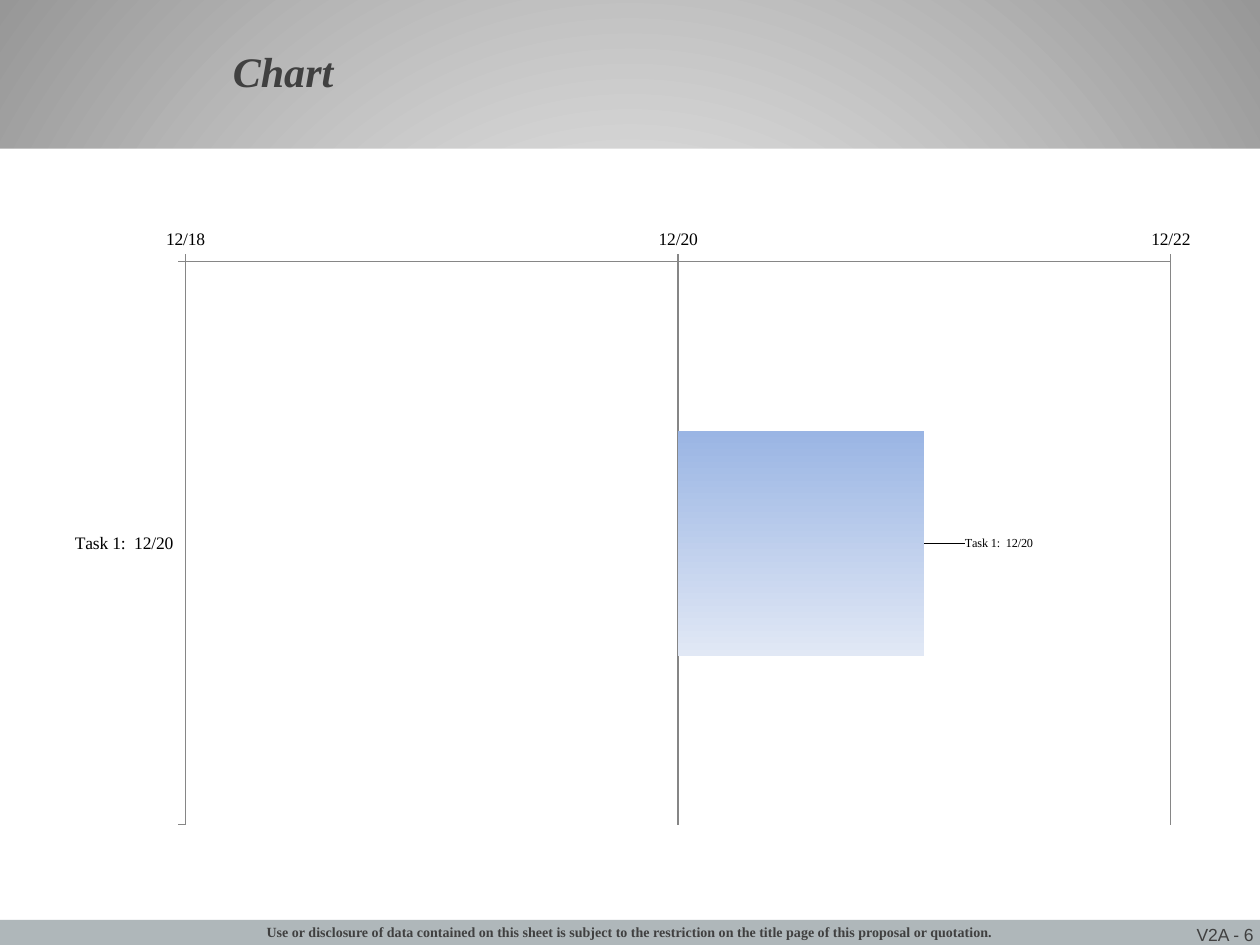
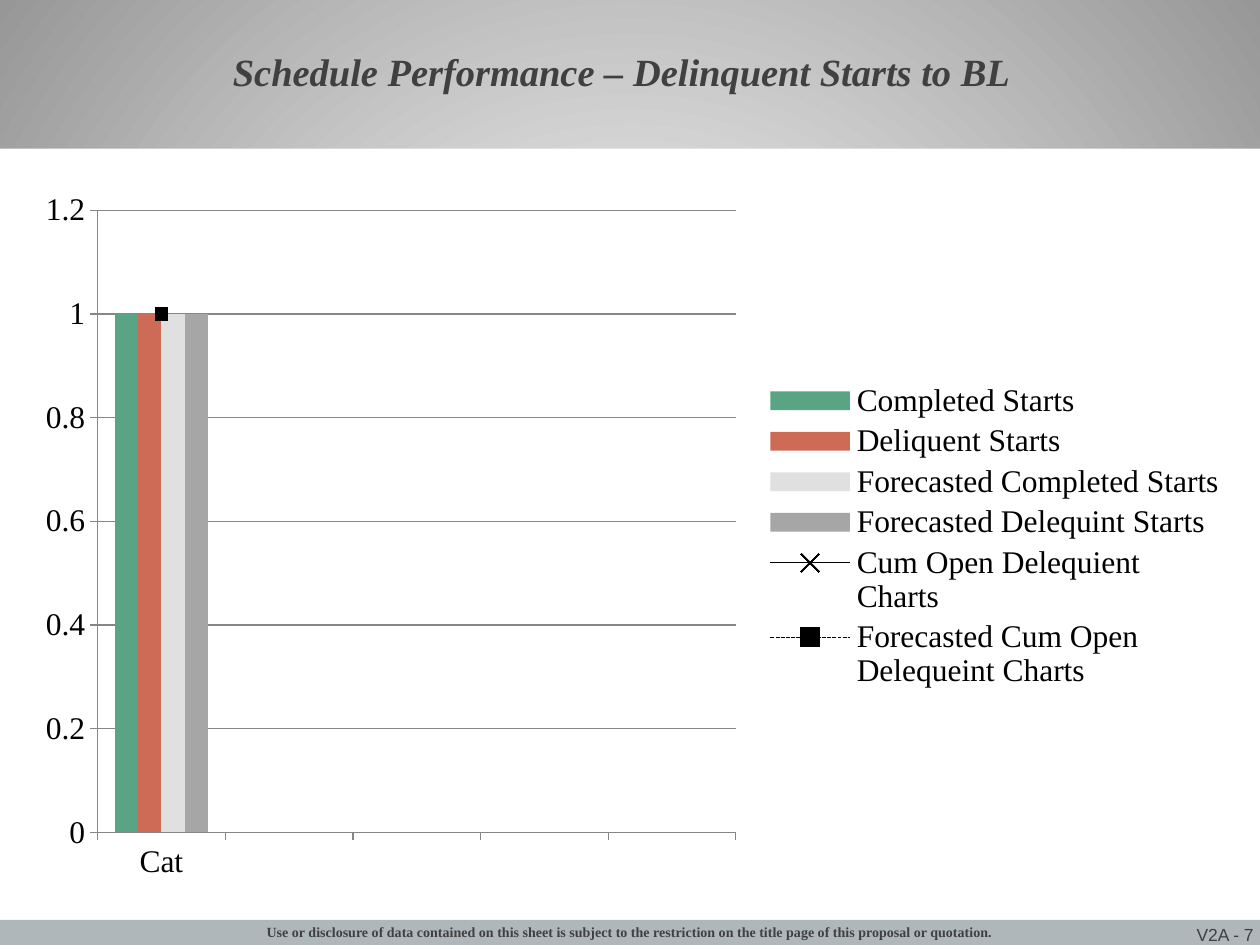
"""Build two schedule slides: a task timeline and a delinquent starts chart."""
from lxml import etree
from pptx import Presentation
from pptx import util as u
from pptx.chart.data import CategoryChartData
from pptx.dml.color import RGBColor
from pptx.enum import chart as ch
from pptx.enum import dml, shapes, text
from pptx.oxml import ns

INK = {
    "text": "404040", "black": "000000", "white": "FFFFFF", "edge": "979797",
    "band": "AFB7BA", "axis": "868686", "top": "9AB5E4", "base": "E1E8F5",
    "done": "59A583", "late": "CD6B57", "plan": "E0E0E0", "slip": "A6A6A6",
}
SERIF, SANS = "Times New Roman", "Arial"
NOTE = ("Use or disclosure of data contained on this sheet is subject to the "
        "restriction on the title page of this proposal or quotation.")
TASK, START, DAYS = "Task 1:  12/20", 41993, 1
BARS = [("Completed Starts", "done"), ("Deliquent Starts", "late"),
        ("Forecasted Completed Starts", "plan"),
        ("Forecasted Delequint Starts", "slip")]
LINES = [("Cum Open Delequient Charts", ch.XL_MARKER_STYLE.X, None),
         ("Forecasted Cum Open Delequeint Charts", ch.XL_MARKER_STYLE.SQUARE,
          dml.MSO_LINE.SQUARE_DOT)]


def tint(name):
    return RGBColor.from_string(INK[name])


def paint(fill, name):
    fill.solid()
    fill.fore_color.rgb = tint(name)


def blend(fill, first, last):
    fill.gradient()
    for stop, name in zip(fill.gradient_stops, (first, last)):
        stop.color.rgb = tint(name)


def node(root, tag, **attrs):
    return etree.SubElement(root, ns.qn(tag), attrs)


def place(root, spot, **parts):
    """Put a manual chart layout at an index of an XML element."""
    for old in root.findall(ns.qn("c:layout")):
        root.remove(old)
    lay = node(root, "c:layout")
    man = node(lay, "c:manualLayout")
    for tag, val in parts.items():
        node(man, "c:" + tag, val=str(val))
    root.insert(spot, lay)


def glow(master):
    """Give the master a round gradient background."""
    blend(master.background.fill, "white", "edge")
    grad = master.element.find(".//" + ns.qn("a:gradFill"))
    for line in grad.findall(ns.qn("a:lin")):
        grad.remove(line)
    ring = node(grad, "a:path", path="circle")
    node(ring, "a:fillToRect", **dict.fromkeys("ltrb", "50000"))


def band(slide, top, high, name):
    box = slide.shapes.add_shape(
        shapes.MSO_SHAPE.RECTANGLE, 0, u.Inches(top), u.Inches(10), u.Inches(high))
    box.shadow.inherit = False
    paint(box.fill, name)
    box.line.fill.background()


def write(slide, words, area, size, face=SERIF, align=text.PP_ALIGN.LEFT,
          anchor=text.MSO_ANCHOR.TOP, bold=True, slant=False, inset=0):
    """Add one line of text and return its paragraph."""
    frame = slide.shapes.add_textbox(*map(u.Inches, area)).text_frame
    frame.word_wrap = True
    frame.vertical_anchor = anchor
    frame.margin_left = frame.margin_right = u.Inches(inset)
    frame.margin_top = frame.margin_bottom = u.Inches(inset / 2)
    para = frame.paragraphs[0]
    para.text = words
    para.alignment = align
    font = para.font
    font.name, font.size, font.bold, font.italic = face, u.Pt(size), bold, slant
    font.color.rgb = tint("text")
    return para


def page(deck, title, size, num):
    slide = deck.slides.add_slide(deck.slide_layouts[6])
    band(slide, 1.18, 6.15, "white")
    band(slide, 7.3, 0.2, "band")
    write(slide, f"V2A - {num}", (9.01, 7.33, 0.94, 0.17), 10, SANS,
          text.PP_ALIGN.RIGHT, text.MSO_ANCHOR.BOTTOM, bold=False)
    write(slide, NOTE, (1.44, 7.33, 7.12, 0.13), 8, align=text.PP_ALIGN.CENTER)
    head = write(slide, title, (1.75, 0.11, 8.08, 0.97), size,
                 anchor=text.MSO_ANCHOR.MIDDLE, slant=True, inset=0.1)
    head.line_spacing = 0.85
    return slide


def plot(slide, kind, cats, rows, area, size, scale):
    """Add a chart with the shared fonts and axes."""
    data = CategoryChartData()
    data.categories = cats
    for name, vals in rows:
        data.add_series(name, vals)
    chart = slide.shapes.add_chart(kind, *map(u.Inches, area), data).chart
    chart.has_title = chart.has_legend = False
    chart.font.name, chart.font.size = SERIF, u.Pt(size)
    chart.font.color.rgb = tint("black")
    axis = chart.value_axis
    axis.minimum_scale, axis.maximum_scale, axis.major_unit = scale
    axis.has_major_gridlines = True
    for part in (axis, chart.category_axis):
        part.major_tick_mark = ch.XL_TICK_MARK.OUTSIDE
        part.minor_tick_mark = ch.XL_TICK_MARK.NONE
    for part in (axis, axis.major_gridlines, chart.category_axis):
        part.format.line.color.rgb = tint("axis")
        part.format.line.width = u.Pt(0.75)
    chart.plots[0].gap_width = 150
    chart.plots[0].vary_by_categories = False
    return chart


def label(bar):
    """Show the category name to the right of the bar."""
    tag = bar.points[0].data_label
    tag.font.size = u.Pt(7)
    tag.position = ch.XL_LABEL_POSITION.INSIDE_END
    item = bar._element.find(".//" + ns.qn("c:dLbl"))
    item.find(ns.qn("c:showVal")).set("val", "0")
    item.find(ns.qn("c:showCatName")).set("val", "1")
    place(item, 1, x=0.1, y=0)


def time(slide):
    rows = [("Series 1", [START]), ("Series 2", [DAYS])]
    chart = plot(slide, ch.XL_CHART_TYPE.BAR_STACKED, [TASK], rows,
                 (0.5, 1.75, 9, 4.95), 10, (START - 2, START + 2, 2))
    chart.plots[0].overlap = 100
    chart.category_axis.reverse_order = True
    marks = chart.value_axis.tick_labels
    marks.number_format, marks.number_format_is_linked = "m/d;@", False
    gap, bar = chart.plots[0].series
    gap.format.fill.background()
    blend(bar.format.fill, "top", "base")
    bar.format.fill.gradient_angle = 270
    label(bar)
    place(chart._chartSpace.chart.plotArea, 0, layoutTarget="inner",
          xMode="edge", yMode="edge", x=0.108, y=0.066, w=0.869, h=0.903)


def split(chart, count):
    """Move the series after the first few into a line plot."""
    bars = chart.plots[0]._element
    line = etree.Element(ns.qn("c:lineChart"))
    node(line, "c:grouping", val="standard")
    node(line, "c:varyColors", val="0")
    for ser in bars.findall(ns.qn("c:ser"))[count:]:
        for flag in ser.findall(ns.qn("c:invertIfNegative")):
            ser.remove(flag)
        line.append(ser)
    node(line, "c:marker", val="1")
    for axis in bars.findall(ns.qn("c:axId")):
        node(line, "c:axId", val=axis.get("val"))
    bars.addnext(line)


def starts(slide):
    names = [row[0] for row in BARS + LINES]
    rows = [(name, [1] + [None] * 4) for name in names]
    chart = plot(slide, ch.XL_CHART_TYPE.COLUMN_CLUSTERED, ["Cat"] + [""] * 4,
                 rows, (0.17, 1.42, 9.67, 5.67), 18, (0, 1.2, 0.2))
    chart.plots[0].overlap = 0
    split(chart, len(BARS))
    chart.has_legend = True
    chart.legend.position = ch.XL_LEGEND_POSITION.RIGHT
    chart.legend.include_in_layout = False
    cols, lines = chart.plots
    for ser, (_, name) in zip(cols.series, BARS):
        paint(ser.format.fill, name)
    for ser, (_, mark, dash) in zip(lines.series, LINES):
        ser.smooth = False
        ser.format.line.color.rgb = tint("black")
        ser.format.line.width = u.Pt(0.75)
        if dash:
            ser.format.line.dash_style = dash
        ser.marker.style, ser.marker.size = mark, 7
        paint(ser.marker.format.fill, "black")
        ser.marker.format.line.color.rgb = tint("black")


def main():
    deck = Presentation()
    deck.slide_width, deck.slide_height = u.Inches(10), u.Inches(7.5)
    glow(deck.slide_master)
    time(page(deck, "Chart", 24, 6))
    starts(page(deck, "Schedule Performance – Delinquent Starts to BL", 22, 7))
    deck.save("out.pptx")


main()
